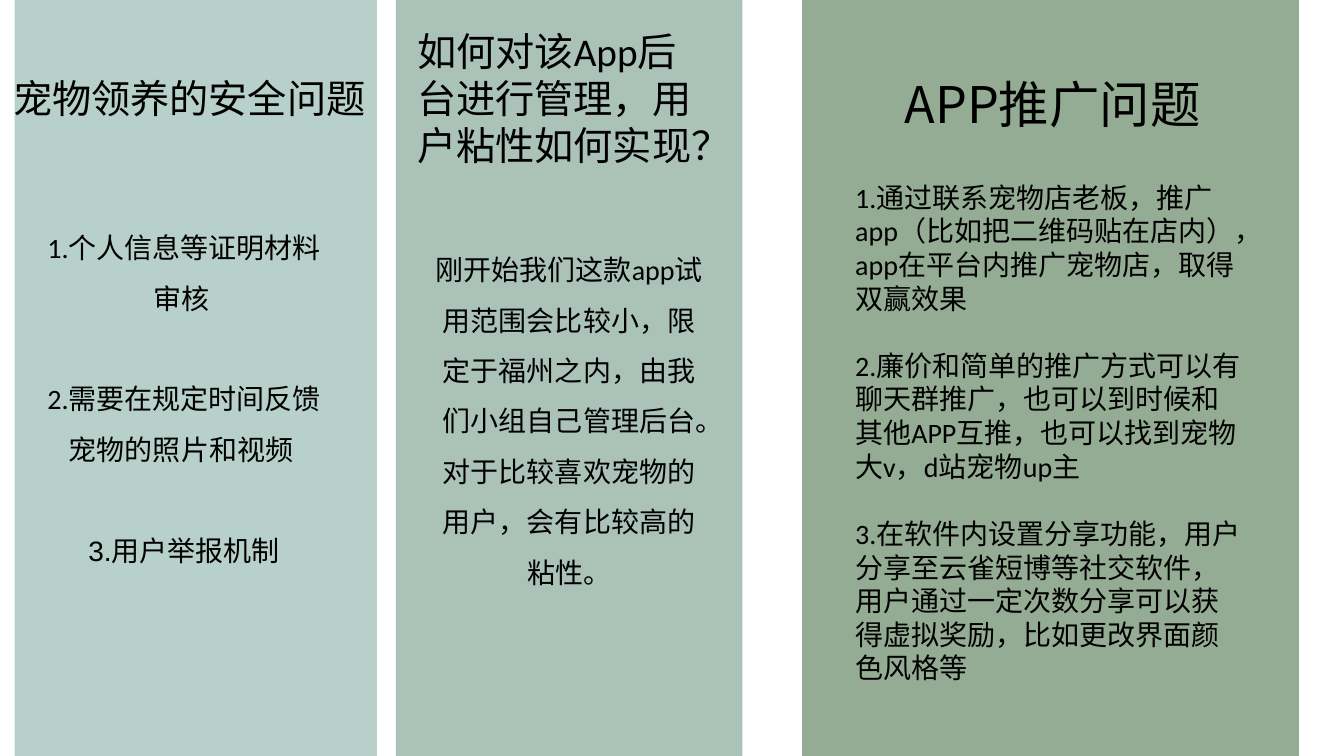
from dataclasses import dataclass

from lxml import etree
from pptx import Presentation
from pptx import util as u
from pptx.dml.color import RGBColor
from pptx.enum import shapes, text
from pptx.oxml.ns import qn
from pptx.slide import Slide

PX = 9525
WIDTH, HEIGHT = 1280, 720
PANEL_OPACITY = 47
BODY_SIZE = 20
BLACK = RGBColor(0x00, 0x00, 0x00)
MIST = RGBColor(0x69, 0x9D, 0x90)
SAGE = RGBColor(0x4C, 0x7F, 0x69)
FOREST = RGBColor(0x1A, 0x50, 0x1B)


@dataclass(frozen=True)
class Panel:
    """A full-height translucent colour band."""
    left: int
    width: int
    color: RGBColor


@dataclass(frozen=True)
class Line:
    """One paragraph and its font."""
    words: str
    font: str = "Calibri"


@dataclass(frozen=True)
class Passage:
    """A text box holding a heading or the points below it."""
    left: int
    top: int
    width: int
    height: int
    lines: tuple[Line, ...]
    size: int = BODY_SIZE
    centered: bool = False
    spacing: float = 1.0
    gap: int = 0


PANELS = (
    Panel(14, 345, MIST),
    Panel(377, 330, SAGE),
    Panel(764, 473, FOREST),
)

PASSAGES = (
    Passage(3, 66, 357, 55, (Line("宠物领养的安全问题"),), size=28),
    Passage(29, 199, 293, 349, (
        Line("1.个人信息等证明材料审核 "),
        Line("2.需要在规定时间反馈宠物的照片和视频 "),
        Line("3.用户举报机制", "Arial"),
    ), centered=True, spacing=1.5, gap=36),
    Passage(388, 21, 301, 145, (Line("如何对该App后台进行管理，用户粘性如何实现？"),), size=28),
    Passage(405, 220, 274, 349, (
        Line("刚开始我们这款app试用范围会比较小，限定于福州之内，由我们小组自己管理后台。"
             "对于比较喜欢宠物的用户，会有比较高的粘性。"),
    ), centered=True, spacing=1.5),
    Passage(852, 65, 324, 68, (Line("APP推广问题", "Noto Sans CJK SC"),), size=36),
    Passage(805, 167, 391, 494, (
        Line("1.通过联系宠物店老板，推广app（比如把二维码贴在店内），"
             "app在平台内推广宠物店，取得双赢效果"),
        Line("2.廉价和简单的推广方式可以有聊天群推广，也可以到时候和其他APP互推，"
             "也可以找到宠物大v，d站宠物up主"),
        Line("3.在软件内设置分享功能，用户分享至云雀短博等社交软件，"
             "用户通过一定次数分享可以获得虚拟奖励，比如更改界面颜色风格等"),
    ), gap=24),
)


def draw_panel(slide: Slide, panel: Panel) -> None:
    """Draw one translucent band from top to bottom."""
    band = slide.shapes.add_shape(
        shapes.MSO_SHAPE.RECTANGLE, panel.left * PX, 0, panel.width * PX, HEIGHT * PX)
    band.shadow.inherit = False
    band.line.fill.background()
    band.fill.solid()
    band.fill.fore_color.rgb = panel.color
    tint = band.fill._xPr.find(qn("a:solidFill"))[0]
    etree.SubElement(tint, qn("a:alpha")).set("val", str(PANEL_OPACITY * 1000))


def draw_passage(slide: Slide, passage: Passage) -> None:
    """Write one passage, with a gap between its paragraphs."""
    box = slide.shapes.add_textbox(
        passage.left * PX, passage.top * PX, passage.width * PX, passage.height * PX)
    frame = box.text_frame
    frame.text = "\n".join(line.words for line in passage.lines)
    frame.word_wrap = True
    frame.auto_size = text.MSO_AUTO_SIZE.SHAPE_TO_FIT_TEXT
    for index, (line, paragraph) in enumerate(zip(passage.lines, frame.paragraphs)):
        paragraph.alignment = text.PP_ALIGN.CENTER if passage.centered else text.PP_ALIGN.LEFT
        paragraph.line_spacing = passage.spacing
        if index:
            paragraph.space_before = u.Pt(passage.gap)
        for run in paragraph.runs:
            run.font.name = line.font
            run.font.size = u.Pt(passage.size)
            run.font.color.rgb = BLACK


def main() -> None:
    """Build the slide and save it."""
    deck = Presentation()
    deck.slide_width = u.Emu(WIDTH * PX)
    deck.slide_height = u.Emu(HEIGHT * PX)
    slide = deck.slides.add_slide(deck.slide_layouts[6])
    for panel in PANELS:
        draw_panel(slide, panel)
    for passage in PASSAGES:
        draw_passage(slide, passage)
    deck.save("out.pptx")


if __name__ == "__main__":
    main()
